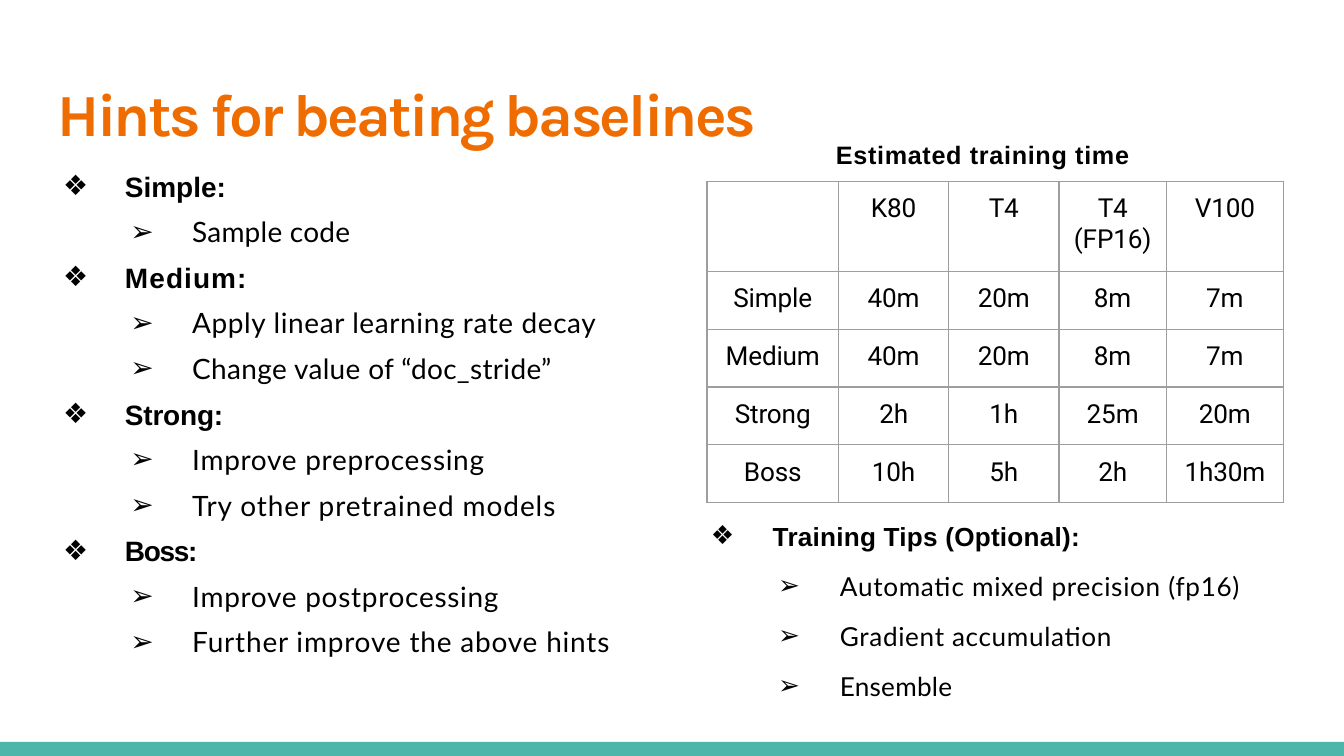
from pptx import Presentation, util as u
from pptx.dml.color import RGBColor
from pptx.enum import shapes, text
from pptx.oxml import parse_xml
from pptx.oxml.ns import nsdecls

INCH = u.Inches


def rgb(code):
    return RGBColor.from_string(code)


class Deck:
    ink, teal, orange, grey = "000000", "4DB6AB", "EE6C00", "9E9E9E"
    head, body, cell = "Arial", "Lato", "Roboto"

    def __init__(self, wide, high):
        self.prs = Presentation()
        self.prs.slide_width, self.prs.slide_height = INCH(wide), INCH(high)
        self.slide = self.prs.slides.add_slide(self.prs.slide_layouts[6])

    def bar(self, x, y, w, h):
        shape = self.slide.shapes.add_shape(
            shapes.MSO_SHAPE.RECTANGLE, INCH(x), INCH(y), INCH(w), INCH(h))
        shape.shadow.inherit = False
        shape.fill.solid()
        shape.fill.fore_color.rgb = rgb(self.teal)
        shape.line.fill.background()

    def frame(self, x, y, w, h, top):
        box = self.slide.shapes.add_textbox(INCH(x), INCH(y), INCH(w), INCH(h))
        frame = box.text_frame
        frame.word_wrap = True
        frame.margin_left = frame.margin_right = frame.margin_bottom = 0
        frame.margin_top = INCH(top)
        return frame

    def font(self, para, name, size, color=ink, bold=False, gap=0):
        """Set the font of a paragraph; gap is letter spacing in points."""
        font = para.font
        font.name, font.size, font.bold = name, u.Pt(size), bold
        font.color.rgb = rgb(color)
        for run in para.runs:
            run._r.get_or_add_rPr().set("spc", str(round(gap * 100)))

    def label(self, words, x, y, w, h, name, size, color=ink, gap=0):
        para = self.frame(x, y, w, h, 0.02).paragraphs[0]
        para.text = words
        para.space_before = u.Pt(1)
        self.font(para, name, size, color, True, gap)

    def hints(self, items, x, y, w, h, top, size, space):
        """Two-level list of (level, words, letter spacing)."""
        frame = self.frame(x, y, w, h, top)
        for i, (level, words, gap) in enumerate(items):
            para = frame.add_paragraph() if i else frame.paragraphs[0]
            para.text, para.level = words, level
            para.space_before = u.Pt(space if i else 0)
            props = para._p.get_or_add_pPr()
            props.set("marL", str(INCH(0.47 + 0.5 * level)))
            props.set("indent", str(INCH(-0.46)))
            for mark in (f'buFont {nsdecls("a")} typeface="{self.head}"',
                         f'buChar {nsdecls("a")} char="{"❖➢"[level]}"'):
                props.append(parse_xml(f"<a:{mark}/>"))
            name = self.body if level else self.head
            self.font(para, name, size, bold=not level, gap=gap)

    def table(self, rows, x, y, cols, highs):
        grid = self.slide.shapes.add_table(
            len(rows), len(cols), INCH(x), INCH(y),
            INCH(sum(cols)), INCH(sum(highs))).table
        grid.first_row = grid.horz_banding = False
        for col, wide in zip(grid.columns, cols):
            col.width = INCH(wide)
        for row, high, words in zip(grid.rows, highs, rows):
            row.height = INCH(high)
            for cell, word in zip(row.cells, words):
                self.fill(cell, word)

    def fill(self, cell, word):
        cell.margin_left = cell.margin_right = cell.margin_bottom = 0
        cell.margin_top = INCH(0.09)
        para = cell.text_frame.paragraphs[0]
        para.text = word
        para.alignment = text.PP_ALIGN.CENTER
        self.font(para, self.cell, 14, gap=-0.1)
        props = cell._tc.get_or_add_tcPr()
        for side in "LRTB":
            props.append(parse_xml(
                f'<a:ln{side} {nsdecls("a")} w="{u.Pt(0.75)}"><a:solidFill>'
                f'<a:srgbClr val="{self.grey}"/></a:solidFill></a:ln{side}>'))
        cell.fill.background()


def main():
    deck = Deck(10, 5.625)

    # Footer bar and title
    deck.bar(0, 5.52, 10, 0.11)
    deck.label("Hints for beating baselines", 0.43, 0.55, 5.9, 0.57,
               "Karla", 32, deck.orange, -1.5)

    # Hints per baseline
    deck.hints([
        (0, "Simple:", 0),
        (1, "Sample code", 0.15),
        (0, "Medium:", 0.6),
        (1, "Apply linear learning rate decay", 0.33),
        (1, "Change value of “doc_stride”", 0.2),
        (0, "Strong:", -0.1),
        (1, "Improve preprocessing", 0.4),
        (1, "Try other pretrained models", 0.5),
        (0, "Boss:", -0.7),
        (1, "Improve postprocessing", 0.4),
        (1, "Further improve the above hints", 0.45),
    ], 0.46, 1.16, 4.12, 3.76, 0.1, 15, 6.4)

    # Training times
    deck.table([
        ["", "K80", "T4", "T4 (FP16)", "V100"],
        ["Simple", "40m", "20m", "8m", "7m"],
        ["Medium", "40m", "20m", "8m", "7m"],
        ["Strong", "2h", "1h", "25m", "20m"],
        ["Boss", "10h", "5h", "2h", "1h30m"],
    ], 5.26, 1.35, [0.98, 0.82, 0.82, 0.8, 0.87], [0.67] + [0.43] * 4)
    deck.label("Estimated training time", 6.22, 1.02, 2.25, 0.25,
               deck.head, 13.5, gap=0.4)

    # Training tips
    deck.hints([
        (0, "Training Tips (Optional):", 0.1),
        (1, "Automatic mixed precision (fp16)", 0.36),
        (1, "Gradient accumulation", 0.35),
        (1, "Ensemble", 0.1),
    ], 5.28, 3.86, 4, 1.38, 0.01, 14, 10)

    deck.prs.save("out.pptx")


if __name__ == "__main__":
    main()
